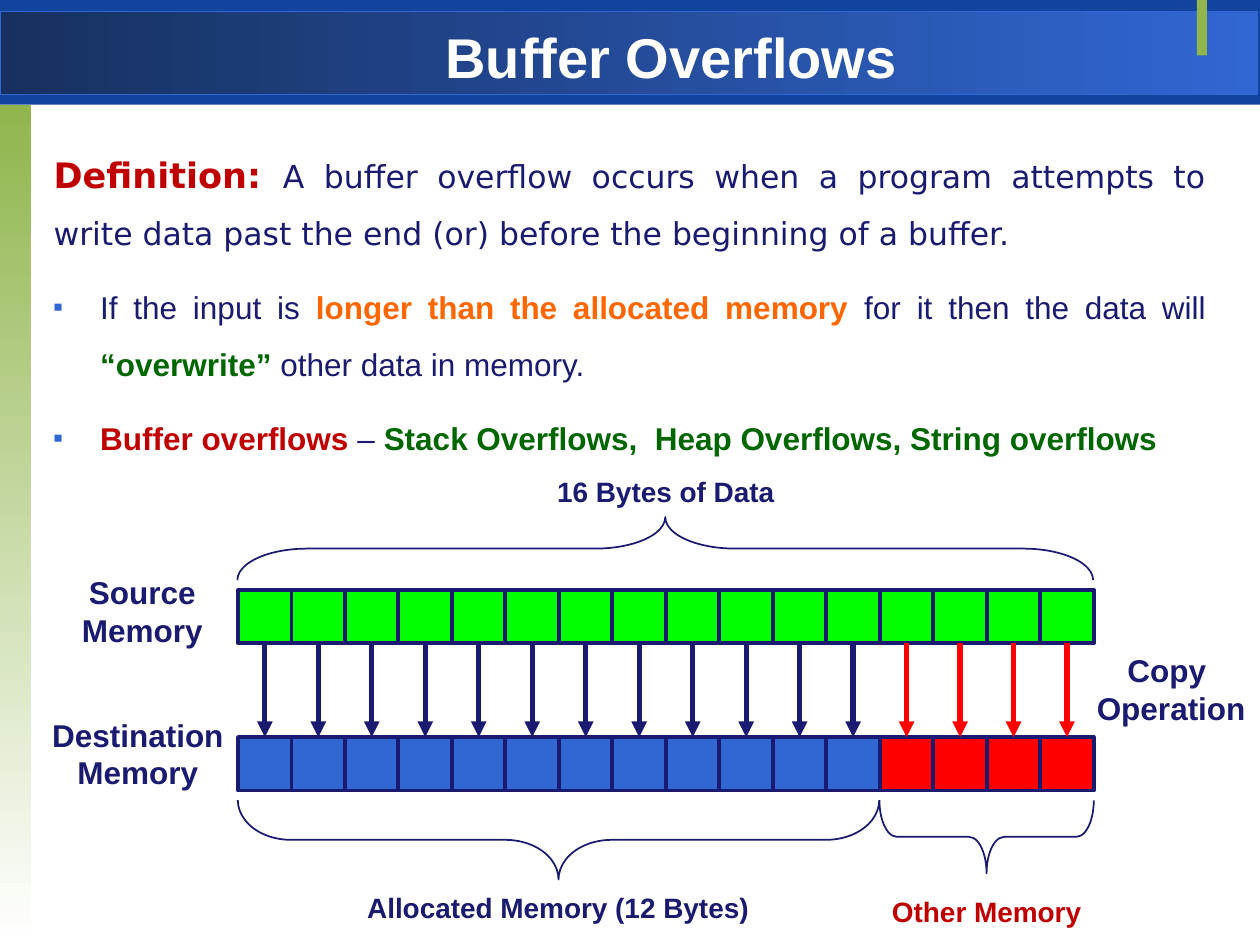
"""Build a slide that explains buffer overflows with a memory copy diagram."""
import pptx
import pptx.dml.color
import pptx.enum.shapes
import pptx.enum.text
import pptx.oxml
import pptx.oxml.ns
import pptx.util

Cm = pptx.util.Cm
Pt = pptx.util.Pt
RGBColor = pptx.dml.color.RGBColor
SHAPE = pptx.enum.shapes.MSO_SHAPE
ALIGN = pptx.enum.text.PP_ALIGN

WHITE = RGBColor(0xFF, 0xFF, 0xFF)
NAVY = RGBColor(0x1A, 0x1A, 0x70)
BLUE = RGBColor(0x31, 0x67, 0xD3)
BAND_BLUE = RGBColor(0x12, 0x44, 0x9E)
DARK_BLUE = RGBColor(0x17, 0x30, 0x5F)
OLIVE = RGBColor(0x90, 0xB5, 0x4D)
CRIMSON = RGBColor(0xC0, 0x00, 0x00)
ORANGE = RGBColor(0xFF, 0x66, 0x00)
DARK_GREEN = RGBColor(0x00, 0x66, 0x00)
LIME = RGBColor(0x00, 0xFF, 0x00)
RED = RGBColor(0xFF, 0x00, 0x00)

BYTES, ALLOCATED = 16, 12
ROW_LEFT, ROW_WIDTH = 4.8, 17.25
CELL = ROW_WIDTH / BYTES
SOURCE_TOP, DESTINATION_TOP = 11.89, 14.86

BODY_PARAGRAPH = {
    "alignment": ALIGN.JUSTIFY,
    "line_spacing": 1.5,
    "space_before": Pt(4),
    "space_after": Pt(6),
}
DEFINITION = [
    ("Definition: ", CRIMSON, True, 20),
    ("A buffer overflow occurs when a program attempts to write data past "
     "the end (or) before the beginning of a buffer.", NAVY, False, 18),
]
BULLETS = [
    [("If the input is ", NAVY, False, 18),
     ("longer than the allocated memory ", ORANGE, True, 18),
     ("for it then the data will ", NAVY, False, 18),
     ("“overwrite” ", DARK_GREEN, True, 18),
     ("other data in memory.", NAVY, False, 18)],
    [("Buffer overflows ", CRIMSON, True, 18),
     ("– ", NAVY, False, 18),
     ("Stack Overflows,  Heap Overflows, String overflows", DARK_GREEN, True, 18)],
]
LABELS = [
    (0.76, 14.3, 4.04, 1.78, ["Destination", "Memory"], 18, NAVY),
    (1.37, 11.43, 3, 1.78, ["Source", "Memory"], 18, NAVY),
    (21.82, 13, 3.58, 1.78, ["Copy ", "Operation"], 18, NAVY),
    (10.92, 9.45, 5, 0.94, ["16 Bytes of Data"], 16, NAVY),
    (7.06, 17.83, 8.38, 0.94, ["Allocated Memory (12 Bytes)"], 16, NAVY),
    (17.68, 17.91, 4.42, 0.94, ["Other Memory"], 16, CRIMSON),
]
BRACES = [
    (13.41, 11.06, 17.25, 1.27, 90, (1.11, 0.5)),
    (11.26, 16.93, 12.93, 1.6, 270, (0.67, 0.5)),
    (19.89, 16.87, 4.32, 1.47, 270, (0.24, 0.5)),
]


def apply_format(target, values):
    """Set each named attribute of the target."""
    for name, value in values.items():
        setattr(target, name, value)


def append_xml(parent, *elements):
    """Append drawing elements, given as tag, attributes and content."""
    namespace = pptx.oxml.ns.nsdecls("a")
    for tag, attributes, content in elements:
        parent.append(pptx.oxml.parse_xml(
            f"<a:{tag} {namespace} {attributes}>{content}</a:{tag}>"))


def add_span(para, text, colour, bold, size, font="Arial"):
    """Add one formatted run to a paragraph."""
    span = para.add_run()
    span.text = text
    apply_format(span.font, {"name": font, "size": Pt(size), "bold": bold})
    span.font.color.rgb = colour


def add_box(page, left, top, width, height, wrap=True):
    """Add an empty text box and return its text frame."""
    box = page.shapes.add_textbox(Cm(left), Cm(top), Cm(width), Cm(height))
    box.text_frame.word_wrap = wrap
    return box.text_frame


def add_label(page, left, top, width, height, lines, size, colour):
    """Add centred bold text, one paragraph for each line."""
    frame = add_box(page, left, top, width, height, wrap=False)
    for number, line in enumerate(lines):
        para = frame.add_paragraph() if number else frame.paragraphs[0]
        para.alignment = ALIGN.CENTER
        add_span(para, line, colour, True, size)
    return frame


def add_block(page, left, top, width, height, fill=None, line=None,
              weight=1, kind=SHAPE.RECTANGLE):
    """Add a preset shape with a plain fill and outline."""
    block = page.shapes.add_shape(kind, Cm(left), Cm(top), Cm(width), Cm(height))
    block.shadow.inherit = False
    for style, colour in ((block.fill, fill), (block.line.fill, line)):
        if colour is None:
            style.background()
        else:
            style.solid()
            style.fore_color.rgb = colour
    if line is not None:
        block.line.width = Pt(weight)
    return block


def set_gradient(block, colours, angle):
    """Fill a block with a linear gradient of two colours."""
    block.fill.gradient()
    block.fill.gradient_angle = angle
    for stop, colour in zip(block.fill.gradient_stops, colours):
        stop.color.rgb = colour


def add_brace(page, centre_x, centre_y, length, depth, rotation, curve):
    """Add a curly brace lying along the horizontal."""
    brace = add_block(page, centre_x - depth / 2, centre_y - length / 2,
                      depth, length, line=NAVY, kind=SHAPE.LEFT_BRACE)
    brace.rotation = rotation
    for number, value in enumerate(curve):
        brace.adjustments[number] = value


def add_arrow(page, centre_x, top, bottom, colour):
    """Add a vertical arrow that points down."""
    arrow = page.shapes.add_connector(
        pptx.enum.shapes.MSO_CONNECTOR.STRAIGHT,
        Cm(centre_x), Cm(top), Cm(centre_x), Cm(bottom))
    arrow.line.color.rgb = colour
    arrow.line.width = Pt(3)
    properties = arrow._element.spPr
    append_xml(properties.find(pptx.oxml.ns.qn("a:ln")),
               ("tailEnd", 'type="triangle"', ""))
    append_xml(properties, ("effectLst", "", ""))


def add_header(page):
    """Add the coloured bands and the title."""
    add_block(page, 0, 0, 25.4, 2.11, BAND_BLUE)
    banner = add_block(page, 0, 0.23, 25.35, 1.68, BLUE, BLUE, 0.75)
    set_gradient(banner, (DARK_BLUE, BLUE), 0)
    strip = add_block(page, 0, 2.11, 0.63, 16.87, OLIVE)
    set_gradient(strip, (OLIVE, WHITE), 270)
    add_block(page, 24.13, 0, 0.2, 1.12, OLIVE)
    title = add_label(page, 4.01, 0.2, 19.05, 1.47, ["Buffer Overflows"], 32, WHITE)
    apply_format(title, {"word_wrap": True, "margin_top": Cm(0.25)})


def add_body(page):
    """Add the definition and the bulleted paragraphs."""
    frame = add_box(page, 0.63, 2.54, 23.93, 7)
    para = frame.paragraphs[0]
    apply_format(para, BODY_PARAGRAPH)
    para._p.get_or_add_pPr().set("marL", str(Cm(0.2)))
    for span in DEFINITION:
        add_span(para, *span, font="DejaVu Sans")
    for spans in BULLETS:
        para = frame.add_paragraph()
        apply_format(para, BODY_PARAGRAPH)
        properties = para._p.get_or_add_pPr()
        properties.set("marL", str(Cm(1.14)))
        properties.set("indent", str(Cm(-0.95)))
        append_xml(properties,
                   ("buClr", "", f'<a:srgbClr val="{BLUE}"/>'),
                   ("buSzPct", 'val="90000"', ""),
                   ("buFont", 'typeface="Arial"', ""),
                   ("buChar", 'char="▪"', ""))
        for span in spans:
            add_span(para, *span)


def add_memory(page):
    """Add both rows of bytes, the copy arrows, the braces and the labels."""
    for number in range(BYTES):
        left = ROW_LEFT + number * CELL
        inside = number < ALLOCATED
        add_block(page, left, SOURCE_TOP, CELL, CELL, LIME, NAVY, 2.25)
        add_block(page, left, DESTINATION_TOP, CELL, CELL,
                  BLUE if inside else RED, NAVY, 2.25)
        add_arrow(page, left + CELL / 2, SOURCE_TOP + CELL, DESTINATION_TOP,
                  NAVY if inside else RED)
    for brace in BRACES:
        add_brace(page, *brace)
    for label in LABELS:
        add_label(page, *label)


def main():
    """Build the deck and save it."""
    deck = pptx.Presentation()
    apply_format(deck, {"slide_width": Cm(25.4), "slide_height": Cm(19.05)})
    page = deck.slides.add_slide(deck.slide_layouts[6])
    add_header(page)
    add_body(page)
    add_memory(page)
    deck.save("out.pptx")


if __name__ == "__main__":
    main()
